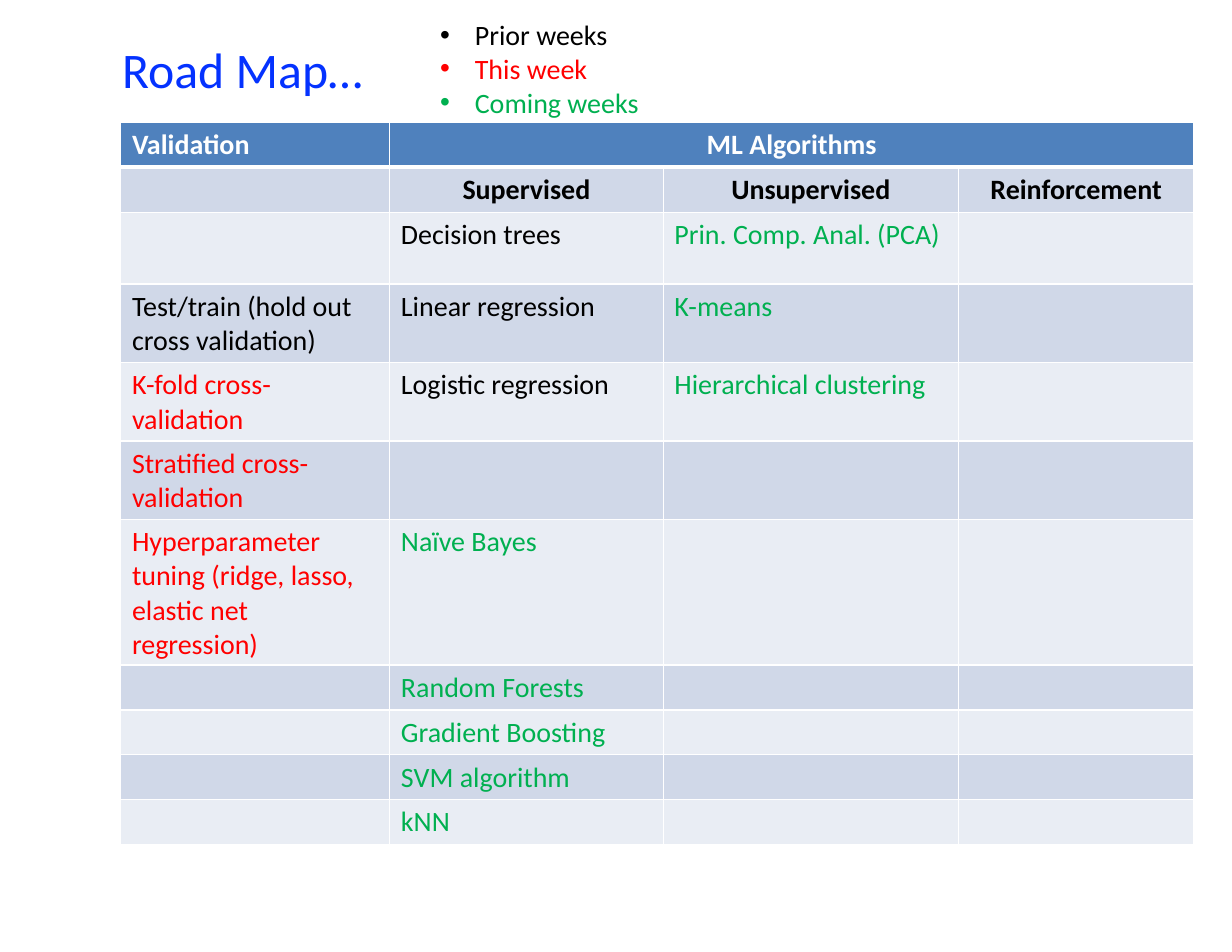
import pptx
import pptx.dml.color
import pptx.enum.text
import pptx.oxml
import pptx.oxml.ns
import pptx.util
from dataclasses import dataclass
from lxml import etree
from pptx.util import Cm


@dataclass(frozen=True)
class Theme:
    font: str = "Calibri"
    title_size: int = 32
    body_size: int = 18
    title: str = "0432FF"
    prior: str = "000000"
    current: str = "FF0000"
    coming: str = "00B050"
    header_text: str = "FFFFFF"
    header_fill: str = "4F81BD"
    bands: tuple = ("E9EDF4", "D0D8E8")
    border: str = "FFFFFF"


theme = Theme()
PRIOR, CURRENT, COMING = theme.prior, theme.current, theme.coming


def add_run(paragraph, text, color, size=theme.body_size, bold=False):
    run = paragraph.add_run()
    run.text = text
    run.font.name = theme.font
    run.font.size = pptx.util.Pt(size)
    run.font.bold = bold
    run.font.color.rgb = pptx.dml.color.RGBColor.from_string(color)


def add_borders(cell, bottom_width):
    """Draw all four cell edges; must run before the cell is filled."""
    properties = cell._tc.get_or_add_tcPr()
    for edge, width in (("L", 1), ("R", 1), ("T", 1), ("B", bottom_width)):
        line = etree.SubElement(properties, pptx.oxml.ns.qn(f"a:ln{edge}"),
                                w=str(pptx.util.Pt(width)))
        fill = etree.SubElement(line, pptx.oxml.ns.qn("a:solidFill"))
        etree.SubElement(fill, pptx.oxml.ns.qn("a:srgbClr"), val=theme.border)


presentation = pptx.Presentation()
presentation.slide_width = Cm(27.94)
presentation.slide_height = Cm(21.59)
slide = presentation.slides.add_slide(presentation.slide_layouts[6])

# Title
title_frame = slide.shapes.add_textbox(Cm(2.74), Cm(0.84), Cm(16.81), Cm(1.45)).text_frame
title_frame.word_wrap = True
title_frame.margin_left = Cm(0.03)
title_frame.margin_right = title_frame.margin_bottom = 0
title_frame.margin_top = Cm(0.05)
title_frame.paragraphs[0].space_before = pptx.util.Pt(1.4)
add_run(title_frame.paragraphs[0], "Road Map…", theme.title, theme.title_size)

# Road map table: each cell is (text, color), None when empty
column_widths = [6.1, 6.2, 6.7, 5.33]
row_heights = [0.91] * 2 + [1.63] * 4 + [3] + [0.91] * 4
rows = [
    [("Validation", theme.header_text), ("ML Algorithms", theme.header_text), None, None],
    [None, ("Supervised", PRIOR), ("Unsupervised", PRIOR), ("Reinforcement", PRIOR)],
    [None, ("Decision trees", PRIOR), ("Prin. Comp. Anal. (PCA)", COMING), None],
    [("Test/train (hold out cross validation)", PRIOR), ("Linear regression", PRIOR),
     ("K-means", COMING), None],
    [("K-fold cross-validation", CURRENT), ("Logistic regression", PRIOR),
     ("Hierarchical clustering", COMING), None],
    [("Stratified cross-validation", CURRENT), None, None, None],
    [("Hyperparameter tuning (ridge, lasso, elastic net regression)", CURRENT),
     ("Naïve Bayes", COMING), None, None],
    [None, ("Random Forests", COMING), None, None],
    [None, ("Gradient Boosting", COMING), None, None],
    [None, ("SVM algorithm", COMING), None, None],
    [None, ("kNN", COMING), None, None],
]
table = slide.shapes.add_table(
    len(rows), len(column_widths), Cm(2.74), Cm(2.78),
    Cm(sum(column_widths)), Cm(sum(row_heights))).table
table.horz_banding = False
for column, width in zip(table.columns, column_widths):
    column.width = Cm(width)
for table_row, height in zip(table.rows, row_heights):
    table_row.height = Cm(height)
table.cell(0, 1).merge(table.cell(0, 3))

for row_index, row in enumerate(rows):
    is_header = row_index == 0
    fill_color = theme.header_fill if is_header else theme.bands[row_index % 2]
    for column_index, content in enumerate(row):
        cell = table.cell(row_index, column_index)
        add_borders(cell, 3 if is_header else 1)
        cell.fill.solid()
        cell.fill.fore_color.rgb = pptx.dml.color.RGBColor.from_string(fill_color)
        paragraph = cell.text_frame.paragraphs[0]
        paragraph.font.size = pptx.util.Pt(theme.body_size)
        if content:
            add_run(paragraph, *content, bold=row_index < 2)
            if row_index < 2 and column_index > 0:
                paragraph.alignment = pptx.enum.text.PP_ALIGN.CENTER

# Color legend
legend_frame = slide.shapes.add_textbox(Cm(9.73), Cm(0.28), Cm(7.19), Cm(2.57)).text_frame
legend_frame.word_wrap = True
legend = [("Prior weeks", PRIOR), ("This week", CURRENT), ("Coming weeks", COMING)]
for index, (label, color) in enumerate(legend):
    paragraph = legend_frame.add_paragraph() if index else legend_frame.paragraphs[0]
    properties = paragraph._p.get_or_add_pPr()
    properties.set("marL", str(Cm(0.79)))
    properties.set("indent", str(-Cm(0.79)))
    etree.SubElement(properties, pptx.oxml.ns.qn("a:buFont"), typeface="Arial")
    etree.SubElement(properties, pptx.oxml.ns.qn("a:buChar"), char="•")
    add_run(paragraph, label, color)

presentation.save("out.pptx")
